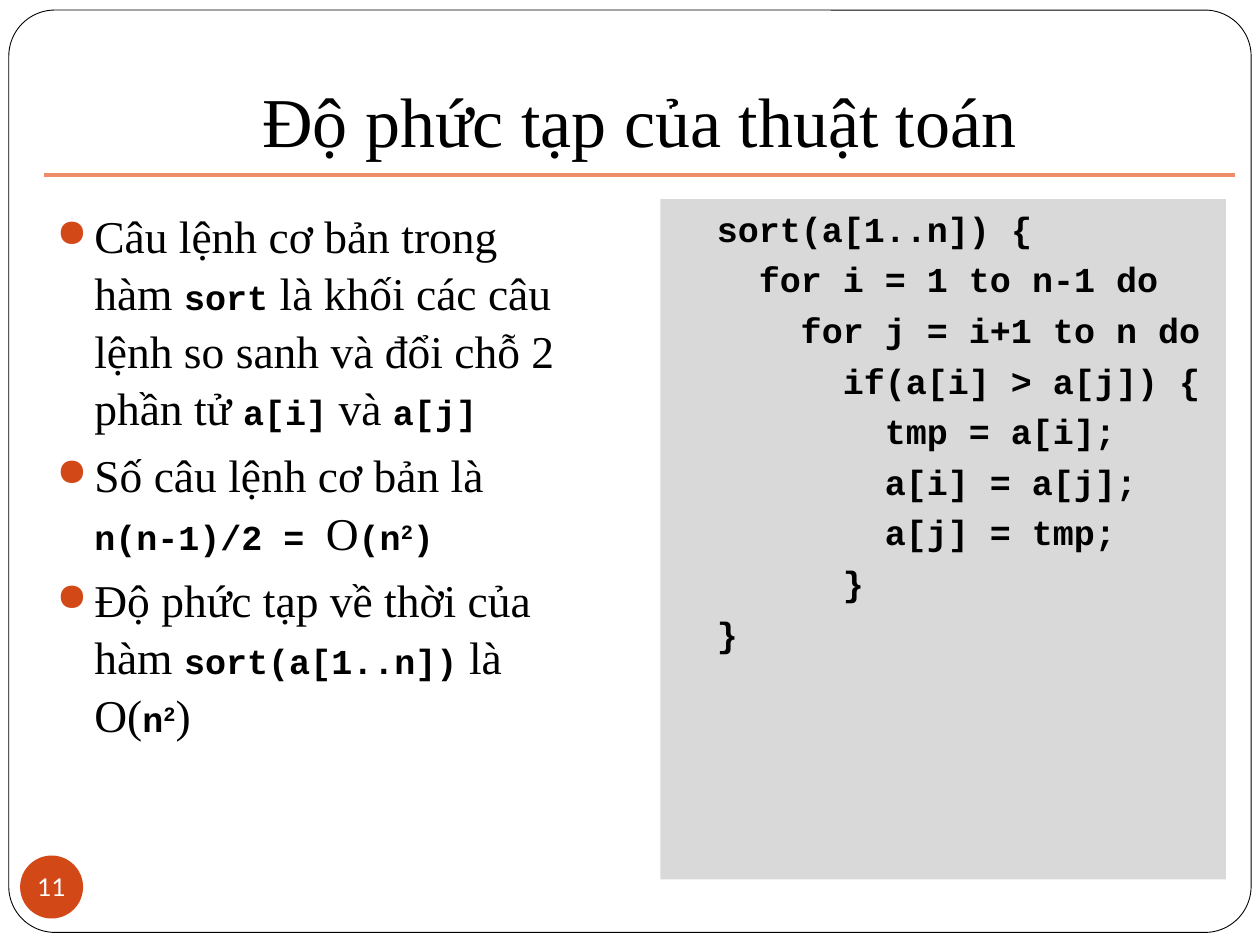
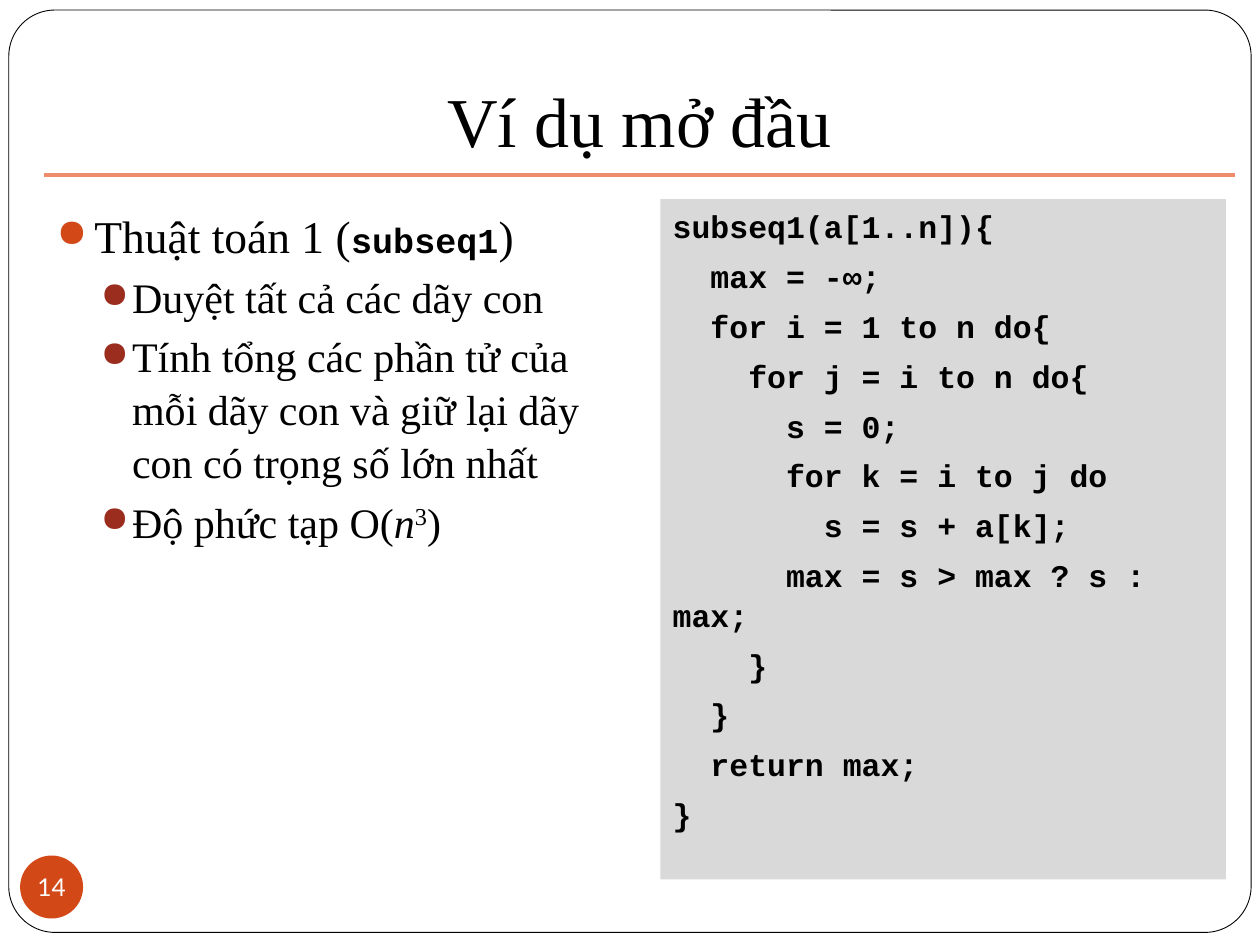
"""Builds two lecture slides that set algorithm remarks beside pseudocode."""
import pptx
import pptx.dml.color
import pptx.enum.shapes
import pptx.enum.text
import pptx.oxml.ns
import pptx.util
from lxml import etree

Inches = pptx.util.Inches
Pt = pptx.util.Pt
RGBColor = pptx.dml.color.RGBColor
SHAPE = pptx.enum.shapes.MSO_SHAPE
ALIGN = pptx.enum.text.PP_ALIGN
ANCHOR = pptx.enum.text.MSO_ANCHOR
qn = pptx.oxml.ns.qn

BLACK = RGBColor(0x00, 0x00, 0x00)
WHITE = RGBColor(0xFF, 0xFF, 0xFF)
ORANGE = RGBColor(0xD3, 0x48, 0x17)
BRICK = RGBColor(0x9B, 0x2D, 0x1F)
SALMON = RGBColor(0xEF, 0x8C, 0x6A)
GREY = RGBColor(0xD9, 0xD9, 0xD9)

SERIF, MONO, SANS = "Times New Roman", "Courier New", "Lato"
CODE = dict(size=20, font=MONO, bold=True)
SUPER = dict(superscript=True)
CODE_SUPER = dict(CODE, superscript=True)
ITALIC = dict(italic=True)

BULLET_LEVELS = [
    dict(size=26, margin=0.3, hanging=0.3, before=5.8, color=ORANGE),
    dict(size=24, margin=0.6, hanging=0.25, before=3.7, color=BRICK),
]
LINE_SPACING = 1.05
MONO_ADVANCE = 0.6
CODE_STEP = 2


def add_text(paragraph, text, size=26, font=SERIF, color=BLACK, bold=False,
             italic=False, superscript=False):
    """Append one formatted run to a paragraph."""
    run = paragraph.add_run()
    run.text = text
    run.font.size = Pt(size)
    run.font.name = font
    run.font.color.rgb = color
    run.font.bold = bold
    run.font.italic = italic
    if superscript:
        run._r.get_or_add_rPr().set("baseline", "30000")


def paragraphs(frame, items):
    """Pair each item with its own paragraph of the text frame."""
    for index, item in enumerate(items):
        yield (frame.add_paragraph() if index else frame.paragraphs[0]), item


def set_indent(paragraph, margin, first_line):
    """Set the left margin and first-line indent of a paragraph."""
    properties = paragraph._p.get_or_add_pPr()
    properties.set("marL", str(int(margin)))
    properties.set("indent", str(int(first_line)))
    return properties


class Lecture:
    """Holds the lecture style and the slide being built."""

    def __init__(self):
        self.deck = pptx.Presentation()
        self.deck.slide_width, self.deck.slide_height = Inches(10), Inches(7.5)
        self.slide = None

    def shape(self, preset, left, top, width, height, fill, line=None):
        """Add a flat preset shape."""
        shape = self.slide.shapes.add_shape(
            preset, Inches(left), Inches(top), Inches(width), Inches(height))
        shape.shadow.inherit = False
        shape.fill.solid()
        shape.fill.fore_color.rgb = fill
        if line is None:
            shape.line.fill.background()
        else:
            shape.line.color.rgb = line
            shape.line.width = Pt(0.5)
        return shape

    def text_frame(self, left, top, width, height):
        """Add a wrapping text box and return its frame."""
        frame = self.slide.shapes.add_textbox(
            Inches(left), Inches(top), Inches(width), Inches(height)).text_frame
        frame.word_wrap = True
        return frame

    def start_slide(self, title, number):
        """Start a slide with its border, title, rule and page number."""
        self.slide = self.deck.slides.add_slide(self.deck.slide_layouts[6])
        border = self.shape(SHAPE.ROUNDED_RECTANGLE, 0.07, 0.08, 9.86, 7.32, WHITE, BLACK)
        border.adjustments[0] = 0.05
        self.title(title)
        self.rule()
        self.page_number(number)

    def title(self, text):
        """Add the centred slide title."""
        frame = self.text_frame(0.35, 0.13, 9.45, 1.25)
        frame.vertical_anchor = ANCHOR.BOTTOM
        frame.margin_bottom = Inches(0.1)
        heading = frame.paragraphs[0]
        heading.alignment = ALIGN.CENTER
        add_text(heading, text, size=40)

    def rule(self):
        """Add the line below the title."""
        rule = self.slide.shapes.add_connector(
            pptx.enum.shapes.MSO_CONNECTOR.STRAIGHT,
            Inches(0.35), Inches(1.39), Inches(9.8), Inches(1.39))
        rule.line.color.rgb = SALMON
        rule.line.width = Pt(2)
        etree.SubElement(rule._element.spPr, qn("a:effectLst"))

    def page_number(self, number):
        """Add the round page number."""
        frame = self.shape(SHAPE.OVAL, 0.16, 6.79, 0.5, 0.5, ORANGE).text_frame
        frame.word_wrap = False
        frame.vertical_anchor = ANCHOR.MIDDLE
        frame.margin_left = frame.margin_right = 0
        frame.margin_top = frame.margin_bottom = 0
        label = frame.paragraphs[0]
        label.alignment = ALIGN.CENTER
        add_text(label, str(number), size=14, font=SANS, color=WHITE)

    def bullet_column(self, width, bullets):
        """Add bullets given as a level followed by (text, format) pieces."""
        frame = self.text_frame(0.35, 1.58, width, 5.47)
        for paragraph, (level, *pieces) in paragraphs(frame, bullets):
            style = BULLET_LEVELS[level]
            paragraph.level = level
            paragraph.space_before = Pt(style["before"])
            paragraph.line_spacing = LINE_SPACING
            properties = set_indent(
                paragraph, Inches(style["margin"]), -Inches(style["hanging"]))
            color = etree.SubElement(properties, qn("a:buClr"))
            etree.SubElement(color, qn("a:srgbClr"), val=str(style["color"]))
            etree.SubElement(properties, qn("a:buSzPct"), val="85000")
            etree.SubElement(properties, qn("a:buChar"), char="●")
            for text, text_format in pieces:
                add_text(paragraph, text, **{"size": style["size"], **text_format})

    def code_panel(self, lines, size, before, margin=0.0):
        """Add the grey panel of pseudocode given as (depth, text) lines."""
        frame = self.shape(SHAPE.RECTANGLE, 5.24, 1.58, 4.49, 5.4, GREY).text_frame
        frame.word_wrap = True
        frame.vertical_anchor = ANCHOR.TOP
        for paragraph, (depth, text) in paragraphs(frame, lines):
            paragraph.alignment = ALIGN.LEFT
            paragraph.space_before = Pt(before)
            paragraph.line_spacing = LINE_SPACING
            set_indent(paragraph, Inches(margin),
                       Pt(depth * CODE_STEP * MONO_ADVANCE * size))
            add_text(paragraph, text, size=size, font=MONO, bold=True)


lecture = Lecture()

lecture.start_slide("Độ phức tạp của thuật toán", 11)
lecture.bullet_column(4.25, [
    (0, ("Câu lệnh cơ bản trong hàm ", {}), ("sort", CODE),
     (" là khối các câu lệnh so sanh và đổi chỗ 2 phần tử ", {}),
     ("a[i]", CODE), (" và ", {}), ("a[j]", CODE)),
    (0, ("Số câu lệnh cơ bản là ", {}), ("n(n-1)/2 = ", CODE), ("O", {}),
     ("(n", CODE), ("2", CODE_SUPER), (")", CODE)),
    (0, ("Độ phức tạp về thời của hàm ", {}), ("sort(a[1..n])", CODE),
     (" là O(", {}), ("n", CODE), ("2", CODE_SUPER), (")", {})),
])
lecture.code_panel([
    (0, "sort(a[1..n]) {"),
    (1, "for i = 1 to n-1 do"),
    (2, "for j = i+1 to n do"),
    (3, "if(a[i] > a[j]) {"),
    (4, "tmp = a[i];"),
    (4, "a[i] = a[j];"),
    (4, "a[j] = tmp;"),
    (3, "}"),
    (0, "}"),
], size=20, before=3.7, margin=0.35)

lecture.start_slide("Ví dụ mở đầu", 14)
lecture.bullet_column(4.49, [
    (0, ("Thuật toán 1 (", {}), ("subseq1", CODE), (")", {})),
    (1, ("Duyệt tất cả các dãy con", {})),
    (1, ("Tính tổng các phần tử của mỗi dãy con và giữ lại dãy con "
         "có trọng số lớn nhất", {})),
    (1, ("Độ phức tạp O(", {}), ("n", ITALIC), ("3", SUPER), (")", {})),
])
lecture.code_panel([
    (0, "subseq1(a[1..n]){"),
    (1, "max = -∞;"),
    (1, "for i = 1 to n do{"),
    (2, "for j = i to n do{"),
    (3, "s = 0;"),
    (3, "for k = i to j do"),
    (4, "s = s + a[k];"),
    (3, "max = s > max ? s : max;"),
    (2, "}"),
    (1, "}"),
    (1, "return max;"),
    (0, "}"),
], size=18, before=5.8)

lecture.deck.save("out.pptx")
